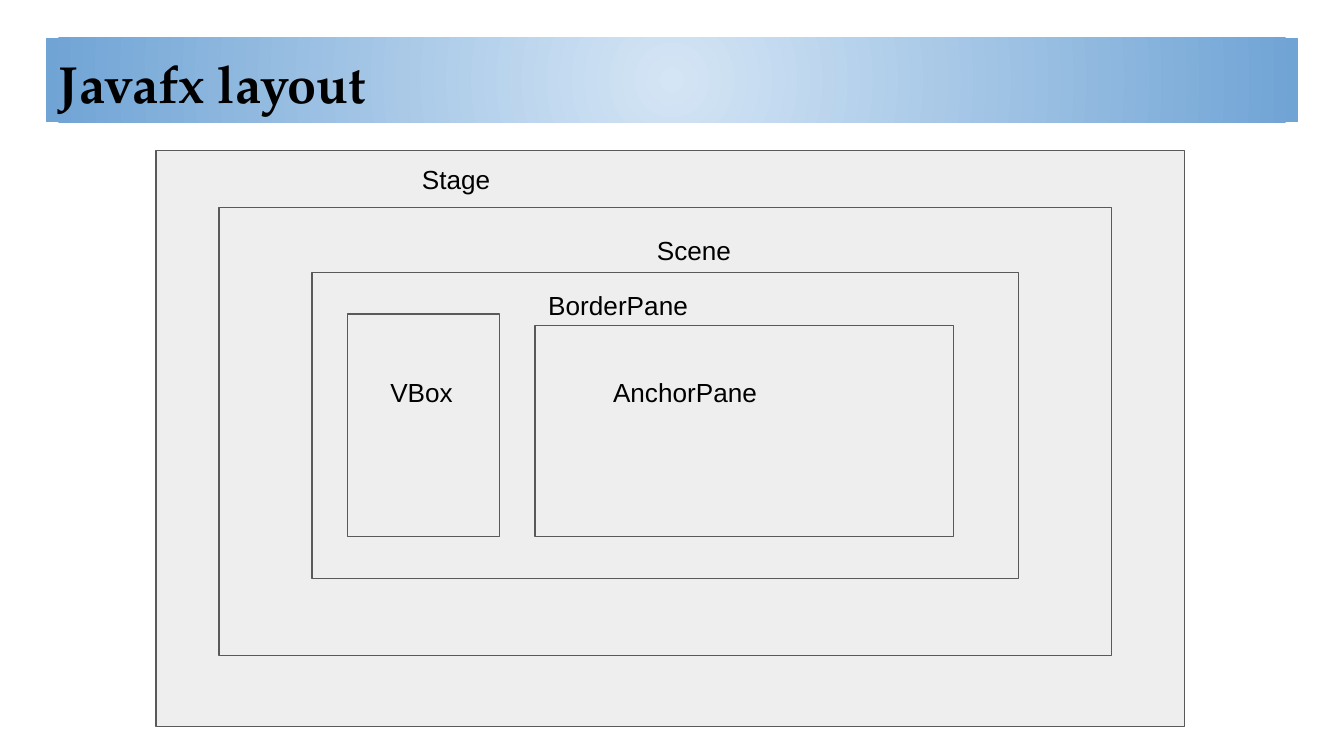
from lxml import etree
from pptx import Presentation
from pptx import util as u
from pptx.dml.color import RGBColor
from pptx.enum import shapes, text
from pptx.oxml.ns import qn

COLOURS = {
    "ink": "000000",
    "panel": "EEEEEE",
    "outline": "595959",
    "banner_centre": "D4E5F5",
    "banner_edge": "70A4D5",
}


def colour(name):
    return RGBColor.from_string(COLOURS[name])


class LayoutPage:
    """Draws the banner, panels and labels on one slide in a shared style."""

    title_font, title_size = "TeX Gyre Pagella", 28
    label_font, label_size = "Arial", 14
    label_width, label_height = 577.4, 67.7
    inset = 7.2

    def __init__(self, deck):
        self.page = deck.slides.add_slide(deck.slide_layouts[6])

    def rectangle(self, *bounds):
        box = self.page.shapes.add_shape(
            shapes.MSO_SHAPE.RECTANGLE, *map(u.Pt, bounds))
        box.shadow.inherit = False
        return box

    def set_words(self, box, words, font, size, bold=False):
        frame = box.text_frame
        frame.word_wrap = True
        frame.vertical_anchor = text.MSO_ANCHOR.TOP
        frame.margin_left = frame.margin_right = u.Pt(self.inset)
        frame.margin_top = frame.margin_bottom = u.Pt(self.inset)
        frame.text = words
        para = frame.paragraphs[0]
        para.alignment = text.PP_ALIGN.LEFT
        span = para.runs[0]
        span.font.name = font
        span.font.size = u.Pt(size)
        span.font.bold = bold
        span.font.color.rgb = colour("ink")

    def banner(self, words, *bounds):
        box = self.rectangle(*bounds)
        box.line.fill.background()
        box.fill.gradient()
        for stop, name in zip(box.fill.gradient_stops, ("banner_centre", "banner_edge")):
            stop.color.rgb = colour(name)
        gradient = box.element.spPr.find(qn("a:gradFill"))
        gradient.remove(gradient.find(qn("a:lin")))
        radial = etree.SubElement(gradient, qn("a:path"), {"path": "circle"})
        etree.SubElement(radial, qn("a:fillToRect"),
                         {side: "50000" for side in "ltrb"})
        self.set_words(box, words, self.title_font, self.title_size, bold=True)

    def panel(self, *bounds):
        box = self.rectangle(*bounds)
        box.fill.solid()
        box.fill.fore_color.rgb = colour("panel")
        box.line.color.rgb = colour("outline")
        box.line.width = u.Pt(0.75)

    def label(self, words, left, top):
        box = self.page.shapes.add_textbox(
            *map(u.Pt, (left, top, self.label_width, self.label_height)))
        self.set_words(box, words, self.label_font, self.label_size)


def main():
    deck = Presentation()
    deck.slide_width, deck.slide_height = u.Pt(720), u.Pt(405)
    layout = LayoutPage(deck)
    layout.banner("Javafx layout", 24.5, 20.3, 671, 45.2)

    nodes = [
        ("Stage", (83.5, 80.5, 551, 308.7), (218.9, 80.5)),
        ("Scene", (117.3, 111.2, 478.2, 240), (344.8, 118.4)),
        ("BorderPane", (167.2, 146, 378.6, 164), (286.6, 147.8)),
        ("VBox", (186.2, 168.3, 81.4, 119.2), (202, 194.5)),
        ("AnchorPane", (286.6, 174.4, 224.2, 113.1), (321.3, 194.5)),
    ]
    for words, bounds, corner in nodes:
        layout.panel(*bounds)
        layout.label(words, *corner)

    deck.save("out.pptx")


if __name__ == "__main__":
    main()
